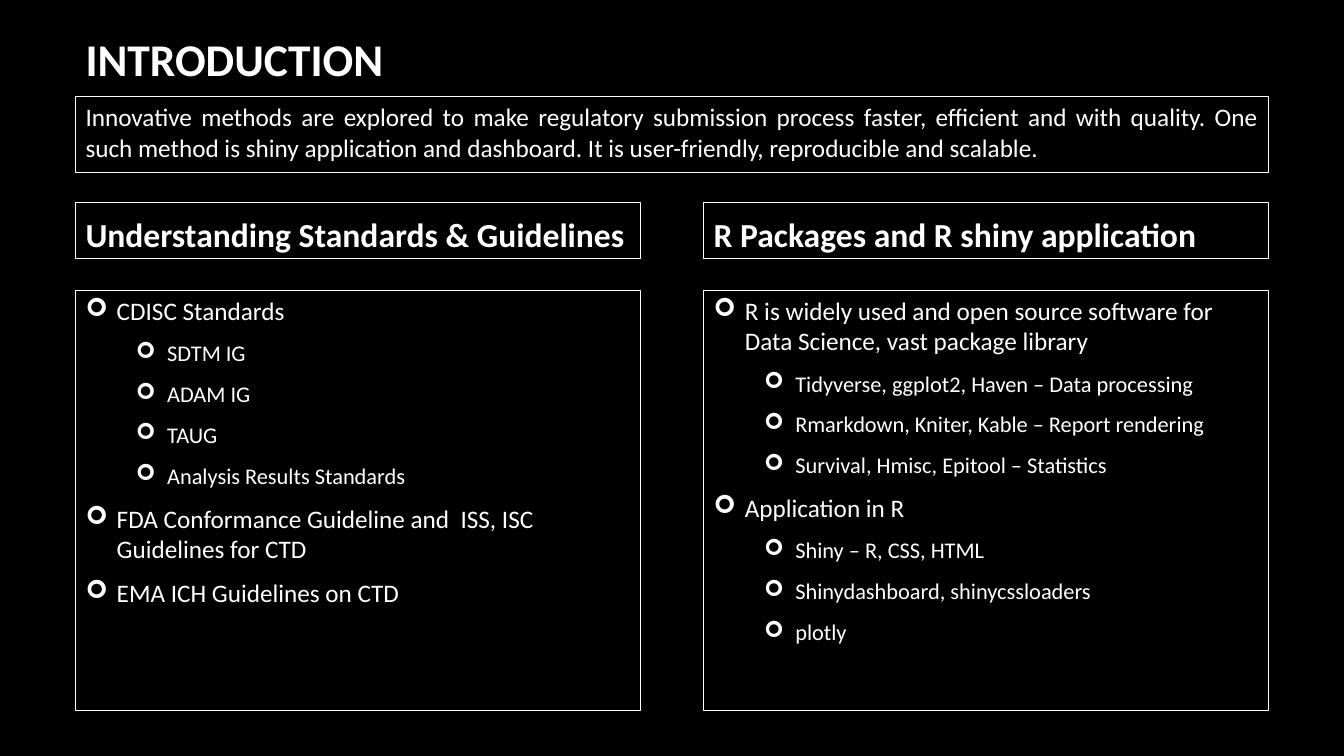
from dataclasses import dataclass

from lxml import etree
from pptx import Presentation
from pptx import util as u
from pptx.dml.color import RGBColor
from pptx.enum import shapes, text
from pptx.oxml.ns import qn

WIDE, HIGH = 13.33, 7.5
EDGE, GAP = 0.75, 0.63
COL = (WIDE - 2 * EDGE - GAP) / 2
BLACK, WHITE = "000000", "FFFFFF"
FONT = "Calibri"
HANG = 0.31
STEP = 0.5
SIZES = (18, 16)


@dataclass
class Row:
    top: float
    height: float


@dataclass
class Item:
    words: str
    level: int = 0


@dataclass
class Topic:
    head: str
    items: list[Item]


TITLE = Row(0.26, 0.63)
INTRO = Row(0.96, 0.75)
HEAD = Row(2.01, 0.56)
LIST = Row(2.88, 4.17)

SUMMARY = (
    "Innovative methods are explored to make regulatory submission process "
    "faster, efficient and with quality. One such method is shiny application "
    "and dashboard. It is user-friendly, reproducible and scalable."
)
TOPICS = [
    Topic("Understanding Standards & Guidelines", [
        Item("CDISC Standards"),
        Item("SDTM IG", 1),
        Item("ADAM IG", 1),
        Item("TAUG", 1),
        Item("Analysis Results Standards", 1),
        Item("FDA Conformance Guideline and  ISS, ISC Guidelines for CTD"),
        Item("EMA ICH Guidelines on CTD"),
    ]),
    Topic("R Packages and R shiny application", [
        Item("R is widely used and open source software for Data Science, "
             "vast package library"),
        Item("Tidyverse, ggplot2, Haven – Data processing", 1),
        Item("Rmarkdown, Kniter, Kable – Report rendering", 1),
        Item("Survival, Hmisc, Epitool – Statistics", 1),
        Item("Application in R"),
        Item("Shiny – R, CSS, HTML", 1),
        Item("Shinydashboard, shinycssloaders", 1),
        Item("plotly", 1),
    ]),
]


def color(code: str) -> RGBColor:
    return RGBColor.from_string(code)


def add_box(slide, row: Row, left: float, width: float, anchor):
    """Draw an outlined box and return its text frame."""
    box = slide.shapes.add_shape(
        shapes.MSO_SHAPE.RECTANGLE,
        u.Inches(left), u.Inches(row.top), u.Inches(width), u.Inches(row.height))
    box.shadow.inherit = False
    box.fill.background()
    box.line.color.rgb = color(WHITE)
    box.line.width = u.Pt(0.75)
    frame = box.text_frame
    frame.word_wrap = True
    frame.vertical_anchor = anchor
    return frame


def write(para, words: str, size: float, bold: bool = False,
          align=text.PP_ALIGN.LEFT, after: float = 10) -> None:
    para.alignment = align
    para.space_after = u.Pt(after)
    run = para.add_run()
    run.text = words
    run.font.name = FONT
    run.font.size = u.Pt(size)
    run.font.bold = bold
    run.font.color.rgb = color(WHITE)


def add_mark(para, level: int) -> None:
    """Give the paragraph an arrow bullet with a hanging indent."""
    props = para._p.get_or_add_pPr()
    props.set("marL", str(u.Inches(HANG + STEP * level)))
    props.set("indent", str(u.Inches(-HANG)))
    tint = etree.SubElement(props, qn("a:buClr"))
    etree.SubElement(tint, qn("a:srgbClr"), val=WHITE)
    etree.SubElement(props, qn("a:buFont"), typeface="Wingdings")
    etree.SubElement(props, qn("a:buChar"), char="➢")


def add_list(frame, items: list[Item]) -> None:
    for index, item in enumerate(items):
        para = frame.add_paragraph() if index else frame.paragraphs[0]
        para.level = item.level
        write(para, item.words, SIZES[item.level])
        add_mark(para, item.level)


def add_title(slide) -> None:
    box = slide.shapes.add_textbox(
        u.Inches(EDGE), u.Inches(TITLE.top), u.Inches(11.08), u.Inches(TITLE.height))
    frame = box.text_frame
    frame.word_wrap = True
    frame.vertical_anchor = text.MSO_ANCHOR.MIDDLE
    write(frame.paragraphs[0], "INTRODUCTION", 32.4, bold=True, after=0)


def main() -> None:
    deck = Presentation()
    deck.slide_width, deck.slide_height = u.Inches(WIDE), u.Inches(HIGH)
    slide = deck.slides.add_slide(deck.slide_layouts[6])
    slide.background.fill.solid()
    slide.background.fill.fore_color.rgb = color(BLACK)

    add_title(slide)
    intro = add_box(slide, INTRO, EDGE, WIDE - 2 * EDGE, text.MSO_ANCHOR.TOP)
    write(intro.paragraphs[0], SUMMARY, 18, align=text.PP_ALIGN.JUSTIFY)
    for index, topic in enumerate(TOPICS):
        left = EDGE + index * (COL + GAP)
        head = add_box(slide, HEAD, left, COL, text.MSO_ANCHOR.BOTTOM)
        write(head.paragraphs[0], topic.head, 24, bold=True)
        add_list(add_box(slide, LIST, left, COL, text.MSO_ANCHOR.TOP), topic.items)
    deck.save("out.pptx")


if __name__ == "__main__":
    main()
